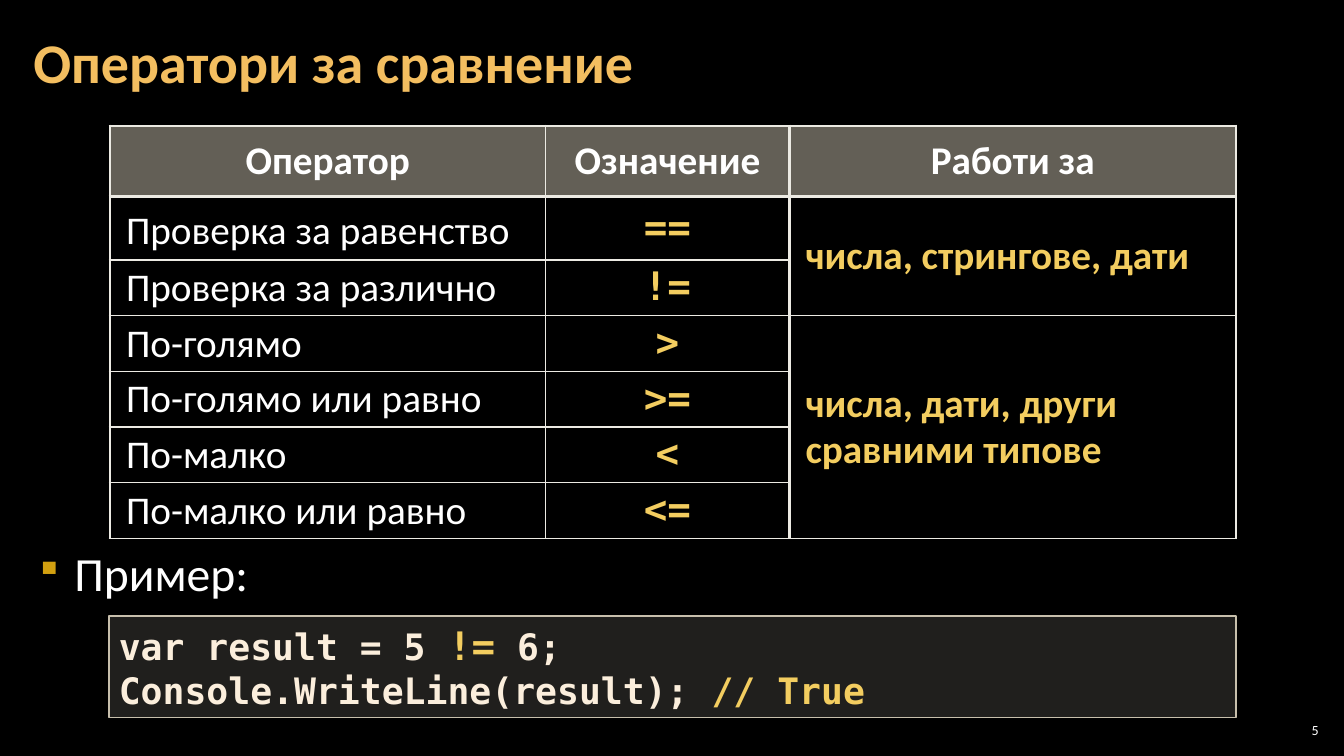
import pptx
import pptx.dml.color
import pptx.enum.shapes
import pptx.enum.text
import pptx.oxml
import pptx.oxml.ns
import pptx.util
from lxml import etree

Inches, Pt = pptx.util.Inches, pptx.util.Pt
ALIGN = pptx.enum.text.PP_ALIGN
MIDDLE = pptx.enum.text.MSO_ANCHOR.MIDDLE
COLORS = {
    "background": "000000", "white": "FFFFFF", "title": "F3BE60", "accent": "F3CD60",
    "header": "C7BFAC", "border": "ECEAE3", "code": "FBEEDC", "code_fill": "D9D5C7",
    "bullet": "D2A010",
}
SANS, MONO = "Calibri", "DejaVu Sans Mono"
NAMESPACE = pptx.oxml.ns.nsdecls("a")


def write_run(paragraph, text, size, color, name=SANS, bold=False):
    run = paragraph.add_run()
    run.text = text
    for attribute, value in {"size": Pt(size), "name": name, "bold": bold}.items():
        setattr(run.font, attribute, value)
    run.font.color.rgb = pptx.dml.color.RGBColor.from_string(COLORS[color])


def fill_translucent(fill, color, percent):
    fill.solid()
    fill.fore_color.rgb = pptx.dml.color.RGBColor.from_string(COLORS[color])
    color_element = fill._xPr.find(".//" + pptx.oxml.ns.qn("a:srgbClr"))
    etree.SubElement(color_element, pptx.oxml.ns.qn("a:alpha"), val=str(percent * 1000))


presentation = pptx.Presentation()
presentation.slide_width, presentation.slide_height = Inches(13.33), Inches(7.5)
slide = presentation.slides.add_slide(presentation.slide_layouts[5])
slide.background.fill.solid()
slide.background.fill.fore_color.rgb = pptx.dml.color.RGBColor.from_string(COLORS["background"])

# Title
title = slide.shapes.title
title.left, title.top, title.width, title.height = map(Inches, (0.21, 0.04, 10.47, 1.21))
frame = title.text_frame
frame_format = {
    "margin_left": Inches(0.12), "margin_right": Inches(0.12),
    "margin_top": Inches(0.04), "margin_bottom": Inches(0.04),
    "vertical_anchor": MIDDLE, "word_wrap": True,
    "auto_size": pptx.enum.text.MSO_AUTO_SIZE.NONE,
}
for attribute, value in frame_format.items():
    setattr(frame, attribute, value)
paragraph = frame.paragraphs[0]
paragraph.alignment, paragraph.line_spacing = ALIGN.LEFT, 0.9
write_run(paragraph, "Оператори за сравнение", 40, "title", bold=True)

# Table of operators
rows = [
    ("Оператор", "Означение", "Работи за"),
    ("Проверка за равенство", "==", "числа, стрингове, дати"),
    ("Проверка за различно", "!=", ""),
    ("По-голямо", ">", "числа, дати, други сравними типове"),
    ("По-голямо или равно", ">=", ""),
    ("По-малко", "<", ""),
    ("По-малко или равно", "<=", ""),
]
column_widths = [4.32, 2.42, 4.43]
row_heights = [0.7, 0.63] + [0.55] * 5
vertical_lines = [2.25, 1, 2.25, 2.25]
horizontal_lines = [2.25, 2.25] + [1] * 6
table = slide.shapes.add_table(
    len(rows), len(column_widths), Inches(1.09), Inches(1.25),
    Inches(sum(column_widths)), Inches(sum(row_heights))).table
for column, width in zip(table.columns, column_widths):
    column.width = Inches(width)
for row, height in zip(table.rows, row_heights):
    row.height = Inches(height)
table.cell(1, 2).merge(table.cell(2, 2))
table.cell(3, 2).merge(table.cell(6, 2))

cell_format = {
    "margin_left": Inches(0.16), "margin_right": Inches(0.16),
    "margin_top": Inches(0.05), "margin_bottom": Inches(0.05), "vertical_anchor": MIDDLE,
}
for row_index, row in enumerate(rows):
    for column_index, text in enumerate(row):
        cell = table.cell(row_index, column_index)
        for attribute, value in cell_format.items():
            setattr(cell, attribute, value)
        is_header, is_symbol = row_index == 0, column_index == 1
        if is_header:
            fill_translucent(cell.fill, "header", 50)
        else:
            cell.fill.background()
        paragraph = cell.text_frame.paragraphs[0]
        paragraph.alignment = ALIGN.CENTER if is_header or is_symbol else ALIGN.LEFT
        paragraph.line_spacing = Pt(38) if (row_index, column_index) == (1, 0) else 0.95
        if text:
            write_run(paragraph, text, 28,
                      "white" if is_header or column_index == 0 else "accent",
                      MONO if is_symbol and not is_header else SANS,
                      is_header or column_index > 0)
        borders = {
            "lnL": vertical_lines[column_index], "lnR": vertical_lines[column_index + 1],
            "lnT": horizontal_lines[row_index], "lnB": horizontal_lines[row_index + 1],
        }
        for position, (tag, width) in enumerate(borders.items()):
            cell._tc.get_or_add_tcPr().insert(position, pptx.oxml.parse_xml(
                f'<a:{tag} {NAMESPACE} w="{Pt(width)}"><a:solidFill>'
                f'<a:srgbClr val="{COLORS["border"]}"/></a:solidFill></a:{tag}>'))

# Code sample
code_box = slide.shapes.add_shape(
    pptx.enum.shapes.MSO_SHAPE.RECTANGLE, Inches(1.08), Inches(6.11), Inches(11.18), Inches(1.01))
code_box.shadow.inherit = False
fill_translucent(code_box.fill, "code_fill", 15)
code_box.line.color.rgb = pptx.dml.color.RGBColor.from_string(COLORS["header"])
code_box.line.width = Pt(1)
frame = code_box.text_frame
frame.word_wrap, frame.vertical_anchor = True, pptx.enum.text.MSO_ANCHOR.TOP
code_lines = [
    [("var result = 5 ", 26, "code"), ("!=", 28, "accent"), (" 6;", 26, "code")],
    [("Console.WriteLine(result); ", 26, "code"), ("// True", 26, "accent")],
]
for index, code_line in enumerate(code_lines):
    paragraph = frame.add_paragraph() if index else frame.paragraphs[0]
    paragraph.alignment = ALIGN.LEFT
    for text, size, color in code_line:
        write_run(paragraph, text, size, color, MONO, True)

# Example bullet
example = slide.shapes.add_textbox(Inches(0.25), Inches(5.39), Inches(9.5), Inches(0.73))
example.text_frame.word_wrap = True
paragraph = example.text_frame.paragraphs[0]
paragraph.line_spacing = Pt(38)
paragraph.space_before = paragraph.space_after = Pt(6)
properties = paragraph._p.get_or_add_pPr()
properties.set("marL", str(Inches(0.39)))
properties.set("indent", str(Inches(-0.39)))
for bullet_part in (
        f'<a:buClr {NAMESPACE}><a:srgbClr val="{COLORS["bullet"]}"/></a:buClr>',
        f'<a:buSzPct {NAMESPACE} val="80000"/>',
        f'<a:buChar {NAMESPACE} char="▪"/>'):
    properties.append(pptx.oxml.parse_xml(bullet_part))
write_run(paragraph, "Пример:", 34, "white")

# Slide number
number = slide.shapes.add_textbox(Inches(12.65), Inches(7.14), Inches(0.47), Inches(0.21))
frame = number.text_frame
for side in ("left", "right", "top", "bottom"):
    setattr(frame, f"margin_{side}", Inches(0.04))
frame.word_wrap, frame.vertical_anchor = True, MIDDLE
frame.paragraphs[0].alignment = ALIGN.RIGHT
write_run(frame.paragraphs[0], "5", 10, "white")

presentation.save("out.pptx")
